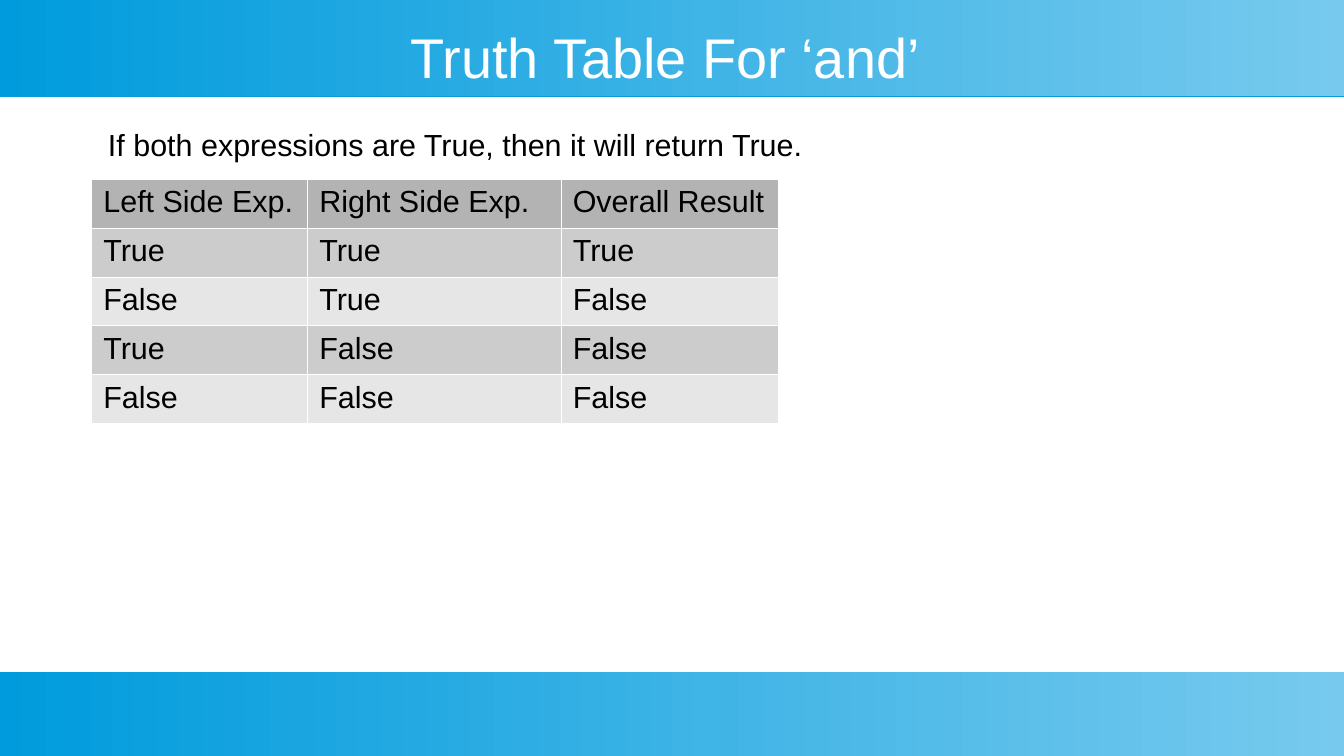
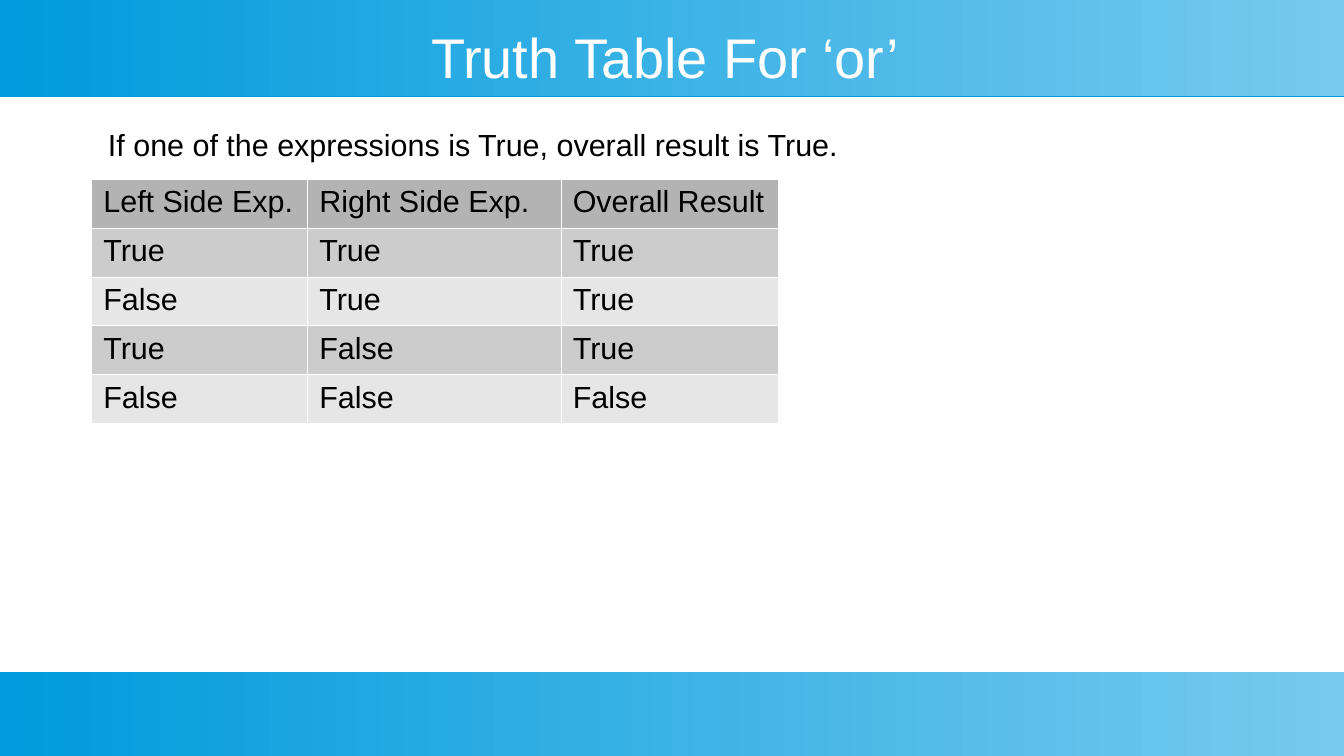
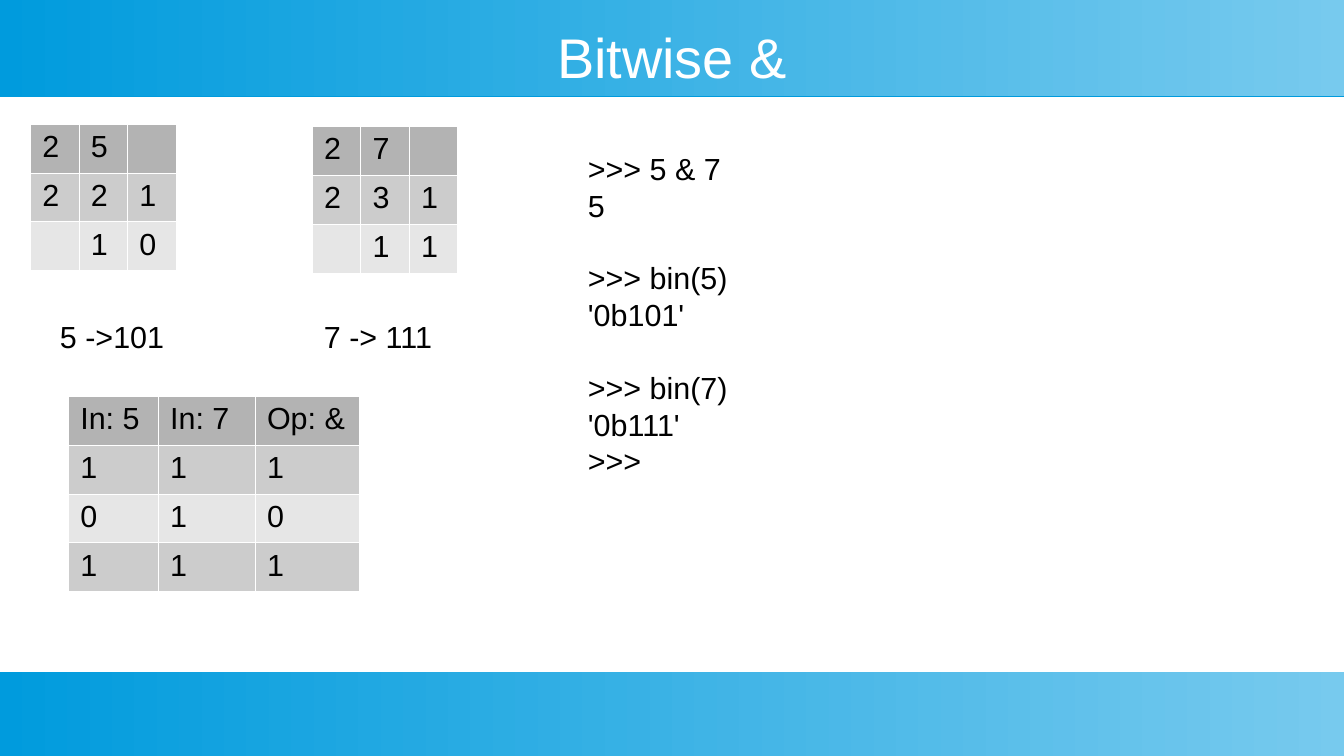
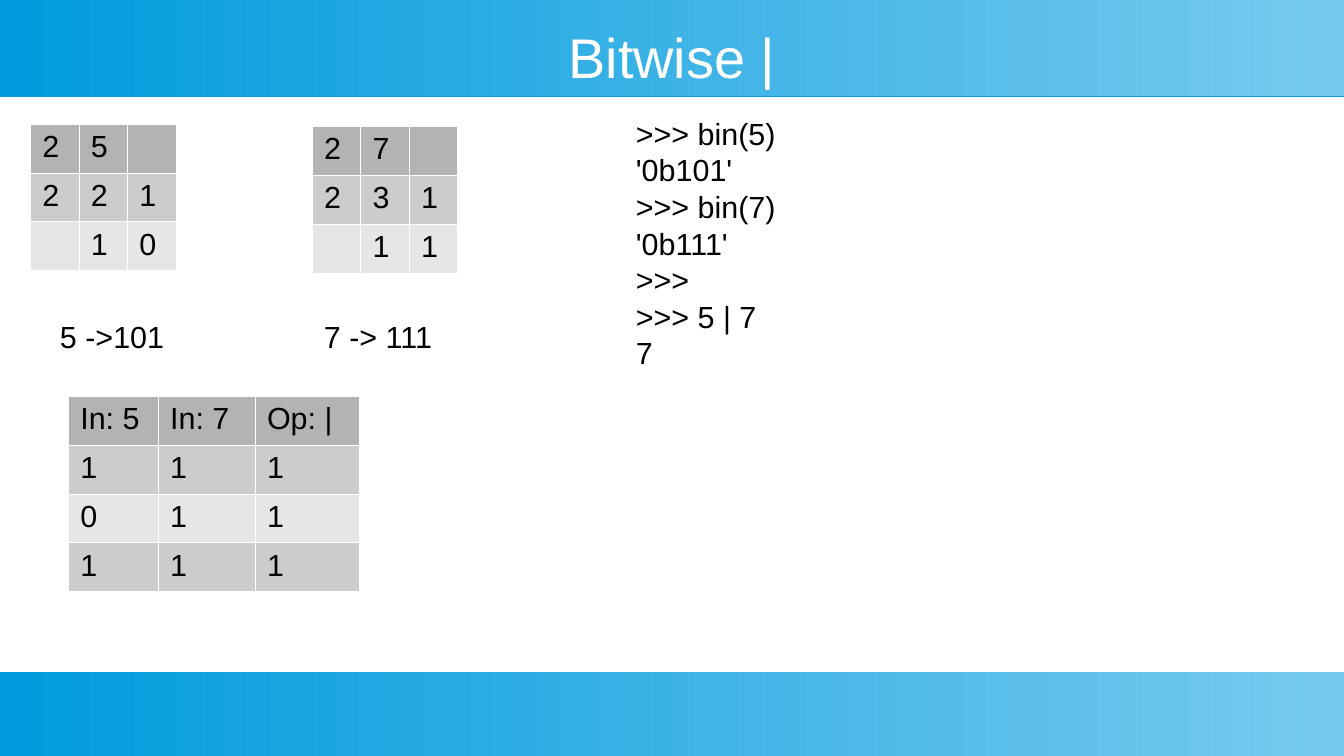
from lxml import etree
from pptx import Presentation
from pptx import util as u
from pptx.dml.color import RGBColor
from pptx.enum import shapes, text
from pptx.oxml import ns

Cm, Pt = u.Cm, u.Pt
FONT = "Arial"
WIDE, HIGH = 28, 15.75
ROW = 0.97
LEAD = 21.5
HUE = {
    "deep": "009BDD", "pale": "77CAEE", "white": "FFFFFF", "ink": "000000",
    "head": "B3B3B3", "odd": "CCCCCC", "even": "E6E6E6",
}


def rgb(name):
    return RGBColor.from_string(HUE[name])


def node(root, tag, **attrs):
    return etree.SubElement(root, ns.qn(tag), attrs)


def style(para, size=18, hue="ink"):
    font = para.font
    font.name, font.size, font.color.rgb = FONT, Pt(size), rgb(hue)


def band(slide, top, high):
    """Full-width gradient bar with a thin, sharp shadow below."""
    bar = slide.shapes.add_shape(
        shapes.MSO_SHAPE.RECTANGLE, 0, Cm(top), Cm(WIDE), Cm(high))
    bar.line.fill.background()
    bar.fill.gradient()
    bar.fill.gradient_angle = 0
    for stop, hue in zip(bar.fill.gradient_stops, ("deep", "pale")):
        stop.color.rgb = rgb(hue)
    bar.shadow.inherit = False
    effects = bar.element.spPr.find(ns.qn("a:effectLst"))
    shade = node(effects, "a:outerShdw", blurRad="0", dist=str(Pt(0.9)),
                 dir="5400000", algn="ctr", rotWithShape="0")
    node(shade, "a:srgbClr", val=HUE["deep"])


def box(slide, left, top, wide, high):
    frame = slide.shapes.add_textbox(
        Cm(left), Cm(top), Cm(wide), Cm(high)).text_frame
    frame.word_wrap = True
    return frame


def title(slide, words):
    frame = box(slide, 1, 0.51, 26, 1.32)
    frame.margin_left = frame.margin_right = 0
    frame.margin_top = frame.margin_bottom = 0
    frame.vertical_anchor = text.MSO_ANCHOR.MIDDLE
    para = frame.paragraphs[0]
    para.text = words
    para.alignment = text.PP_ALIGN.CENTER
    style(para, 33, "white")


def note(slide, words, left, top, wide):
    para = box(slide, left, top, wide, ROW).paragraphs[0]
    para.text = words
    style(para)


def code(slide, blocks, left, top, wide, high):
    """Console lines; each block after the first has a gap above it."""
    frame = box(slide, left, top, wide, high)
    para = frame.paragraphs[0]
    for b, block in enumerate(blocks):
        for i, line in enumerate(block):
            if b or i:
                para = frame.add_paragraph()
            para.text = line
            style(para)
            if b and not i:
                para.space_before = Pt(LEAD)


def edge(cell):
    """Hairline white border on all four sides."""
    props = cell._tc.get_or_add_tcPr()
    for side in "LRTB":
        line = node(props, f"a:ln{side}", w=str(Pt(0.06)))
        node(node(line, "a:solidFill"), "a:srgbClr", val=HUE["white"])


def grid(slide, rows, left, top, cols):
    table = slide.shapes.add_table(
        len(rows), len(cols), Cm(left), Cm(top),
        Cm(sum(cols)), Cm(ROW * len(rows))).table
    table.first_row = table.horz_banding = False
    for col, wide in zip(table.columns, cols):
        col.width = Cm(wide)
    for r, row in enumerate(rows):
        hue = "head" if r == 0 else "odd" if r % 2 else "even"
        for c, words in enumerate(row):
            cell = table.cell(r, c)
            cell.text = words
            style(cell.text_frame.paragraphs[0])
            edge(cell)
            cell.fill.solid()
            cell.fill.fore_color.rgb = rgb(hue)


def page(deck, words):
    slide = deck.slides.add_slide(deck.slide_layouts[6])
    band(slide, 0, 2)
    band(slide, 14, HIGH - 14)
    title(slide, words)
    return slide


def truth(deck, name, rule, test):
    slide = page(deck, f"Truth Table For ‘{name}’ ")
    rows = [("Left Side Exp.", "Right Side Exp.", "Overall Result")]
    for right in (True, False):
        for left in (True, False):
            rows.append([str(v) for v in (left, right, test((left, right)))])
    grid(slide, rows, 1.9, 3.73, (4.5, 5.28, 4.53))
    note(slide, rule, 2, 2.5, 16.5)


def halve(slide, num, left, top):
    """Repeated division by two: divisor, quotient, remainder."""
    half = num // 2
    rows = [("2", str(num), ""),
            ("2", str(half), str(num % 2)),
            ("", str(half // 2), str(half % 2))]
    grid(slide, rows, left, top, (1.01,) * 3)


def bitwise(deck, sign, bits, blocks, place):
    slide = page(deck, f"Bitwise {sign}")
    halve(slide, 5, 0.63, 2.58)
    halve(slide, 7, 6.5, 2.63)
    note(slide, "5 ->101", 1, 6.5, 3.5)
    note(slide, "7 -> 111", 6.5, 6.5, 3.5)
    rows = [("In: 5", "In: 7", f"Op: {sign}"), *zip("101", "111", bits)]
    grid(slide, rows, 1.42, 8.25, (1.87, 2.02, 2.18))
    code(slide, blocks, *place)


def main():
    deck = Presentation()
    deck.slide_width, deck.slide_height = Cm(WIDE), Cm(HIGH)
    truth(deck, "and",
          "If both expressions are True, then it will return True.", all)
    truth(deck, "or",
          "If one of the expressions is True, overall result is True.", any)
    five = [">>> bin(5)", "'0b101'"]
    seven = [">>> bin(7)", "'0b111'", ">>>"]
    bitwise(deck, "&", "101", [[">>> 5 & 7", "5"], five, seven],
            (12, 3, 4, 8.08))
    bitwise(deck, "|", "111", [five + seven + [">>> 5 | 7", "7"]],
            (13, 2.27, 4, 5.6))
    deck.save("out.pptx")


if __name__ == "__main__":
    main()
